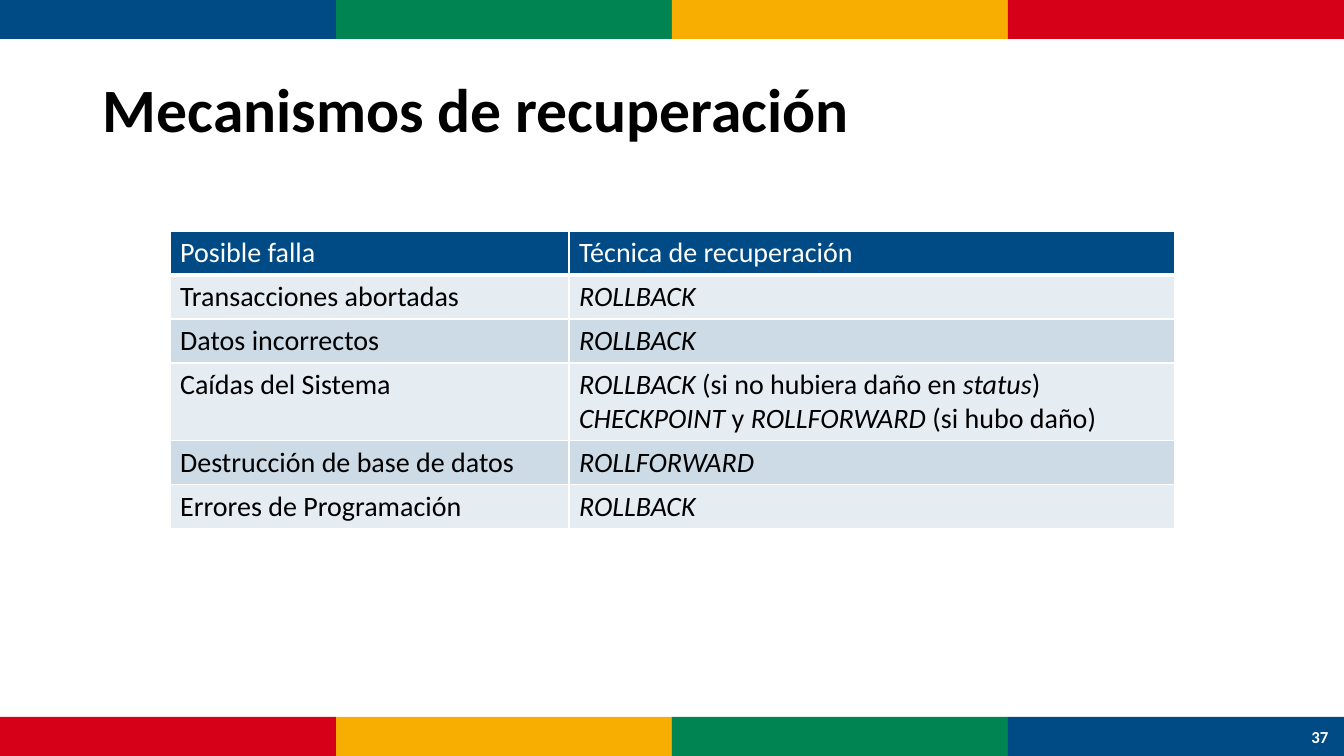
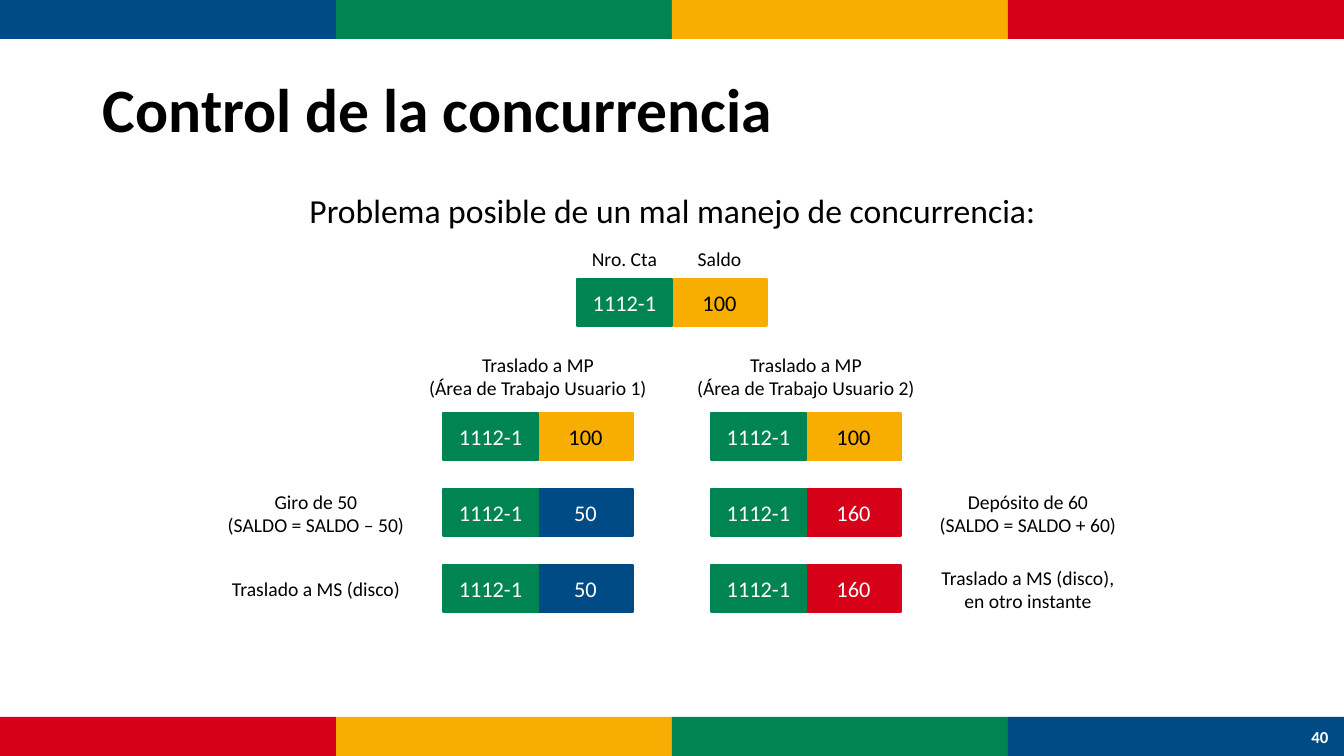
from lxml.etree import SubElement
from pptx import Presentation
from pptx.dml.color import RGBColor as RGB
from pptx.enum.shapes import MSO_SHAPE as SHAPE
from pptx.enum.text import MSO_ANCHOR as ANCHOR, PP_ALIGN as ALIGN
from pptx.oxml.ns import qn
from pptx.util import Pt

WIDE, HIGH = 1344, 756
MID = WIDE // 2
SCALE = 12192000 / WIDE
FONT = "Calibri"
HUES = {"blue": "004B85", "green": "008452", "gold": "F7AE00",
        "red": "D60019", "black": "000000", "white": "FFFFFF"}
BANDS = ["blue", "green", "gold", "red"]
BAND = 39
BOX_W, BOX_H = 95, 47
FAULTS = [
    ("Posible falla", "Técnica de recuperación"),
    ("Transacciones abortadas", "*ROLLBACK*"),
    ("Datos incorrectos", "*ROLLBACK*"),
    ("Caídas del Sistema",
     "*ROLLBACK* (si no hubiera daño en *status*)\n"
     "*CHECKPOINT* y *ROLLFORWARD* (si hubo daño)"),
    ("Destrucción de base de datos", "*ROLLFORWARD*"),
    ("Errores de Programación", "*ROLLBACK*"),
]


def emu(*sizes):
    return [round(size * SCALE) for size in sizes]


def hue(name):
    return RGB.from_string(HUES[name])


def write(frame, text, size, color="black", bold=False, align=ALIGN.CENTER):
    """Fill a text frame, one paragraph a line; *stars* mark italics."""
    for i, line in enumerate(text.split("\n")):
        para = frame.paragraphs[0] if i == 0 else frame.add_paragraph()
        para.alignment = align
        font = para.font
        font.name, font.size, font.bold = FONT, Pt(size), bold
        font.color.rgb = hue(color)
        for j, part in enumerate(line.split("*")):
            if part:
                run = para.add_run()
                run.text = part
                if j % 2:
                    run.font.italic = True


def rect(slide, x, y, w, h, color):
    shape = slide.shapes.add_shape(SHAPE.RECTANGLE, *emu(x, y, w, h))
    shape.shadow.inherit = False
    shape.fill.solid()
    shape.fill.fore_color.rgb = hue(color)
    shape.line.fill.background()
    return shape


def area(slide, x, y, w, h):
    """Add a wrapping text box, anchored in the middle."""
    frame = slide.shapes.add_textbox(*emu(x, y, w, h)).text_frame
    frame.word_wrap = True
    frame.vertical_anchor = ANCHOR.MIDDLE
    return frame


def label(slide, x, y, text, size=14, width=238, **style):
    """Write text centred on the point x, y."""
    frame = area(slide, x - width // 2, y - 29, width, 58)
    frame.margin_left = frame.margin_right = 0
    write(frame, text, size, **style)


def start(deck, title, number):
    """Add a slide with its bands, title and number."""
    slide = deck.slides.add_slide(deck.slide_layouts[6])
    step = WIDE // len(BANDS)
    for y, names in ((0, BANDS), (HIGH - BAND, BANDS[::-1])):
        for i, name in enumerate(names):
            rect(slide, i * step, y, step, BAND, name)
    frame = area(slide, 93, 40, 1159, 146)
    write(frame, title, 44, bold=True, align=ALIGN.LEFT)
    frame.paragraphs[0].line_spacing = 0.9
    label(slide, 1320, 737, str(number), 12, 46, color="white", bold=True)
    return slide


def edge(cell, side, width):
    """Draw one white cell border."""
    line = SubElement(cell._tc.get_or_add_tcPr(), qn(f"a:ln{side}"),
                      w=str(Pt(width)))
    fill = SubElement(line, qn("a:solidFill"))
    SubElement(fill, qn("a:srgbClr"), val=HUES["white"])


def paint(cell, alpha):
    """Fill a cell with blue of the given percentage of opacity."""
    cell.fill.solid()
    cell.fill.fore_color.rgb = hue("blue")
    tint = cell._tc.tcPr.find(qn("a:solidFill")).find(qn("a:srgbClr"))
    SubElement(tint, qn("a:alpha"), val=str(alpha * 1000))


def grid(slide, x, y, cols, rows):
    """Add a table with a blue head and banded rows."""
    highs = [10 + 34 * (1 + row[-1].count("\n")) for row in rows]
    box = emu(x, y, sum(cols), sum(highs))
    table = slide.shapes.add_table(len(rows), len(cols), *box).table
    for col, width in zip(table.columns, emu(*cols)):
        col.width = width
    for i, (row, high) in enumerate(zip(rows, emu(*highs))):
        table.rows[i].height = high
        head = i == 0
        for j, text in enumerate(row):
            cell = table.cell(i, j)
            for side in "LRTB":
                edge(cell, side, 3 if head and side == "B" else 1)
            paint(cell, 100 if head else 10 if i % 2 else 20)
            write(cell.text_frame, text, 20, "white" if head else "black",
                  align=ALIGN.LEFT)


def field(slide, x, y, text, color):
    shape = rect(slide, x, y, BOX_W, BOX_H, color)
    shape.line.color.rgb = hue(color)
    shape.line.width = Pt(2)
    frame = shape.text_frame
    frame.vertical_anchor = ANCHOR.MIDDLE
    write(frame, text, 16, "black" if color == "gold" else "white")


def record(slide, x, y, value, color):
    """Draw an account and its balance, meeting at x."""
    field(slide, x, y, value, color)
    field(slide, x - BOX_W, y, "1112-1", "green")


def faults(deck):
    slide = start(deck, "Mecanismos de recuperación", 37)
    grid(slide, 170, 231, [399, 606], FAULTS)


def clash(deck):
    slide = start(deck, "Control de la concurrencia", 40)
    label(slide, MID, 210,
          "Problema posible de un mal manejo de concurrencia:", 24, 1159)
    for side, text in ((-1, "Nro. Cta"), (1, "Saldo")):
        label(slide, MID + side * BOX_W // 2, 259, text, width=BOX_W)
    record(slide, MID, 279, "100", "gold")
    users = [
        (-1, "50", "blue", "Giro de 50\n(SALDO = SALDO – 50)",
         "Traslado a MS (disco)"),
        (1, "160", "red", "Depósito de 60\n(SALDO = SALDO + 60)",
         "Traslado a MS (disco),\nen otro instante"),
    ]
    top, step = 413, 76
    for user, (side, value, color, *notes) in enumerate(users, 1):
        x = MID + side * 134
        label(slide, x, 376,
              f"Traslado a MP\n(Área de Trabajo Usuario {user})")
        record(slide, x, top, "100", "gold")
        for i, note in enumerate(notes, 1):
            y = top + i * step
            record(slide, x, y, value, color)
            label(slide, MID + side * 356, y + BOX_H // 2 + 1, note)


def main():
    deck = Presentation()
    deck.slide_width, deck.slide_height = emu(WIDE, HIGH)
    faults(deck)
    clash(deck)
    deck.save("out.pptx")


if __name__ == "__main__":
    main()
